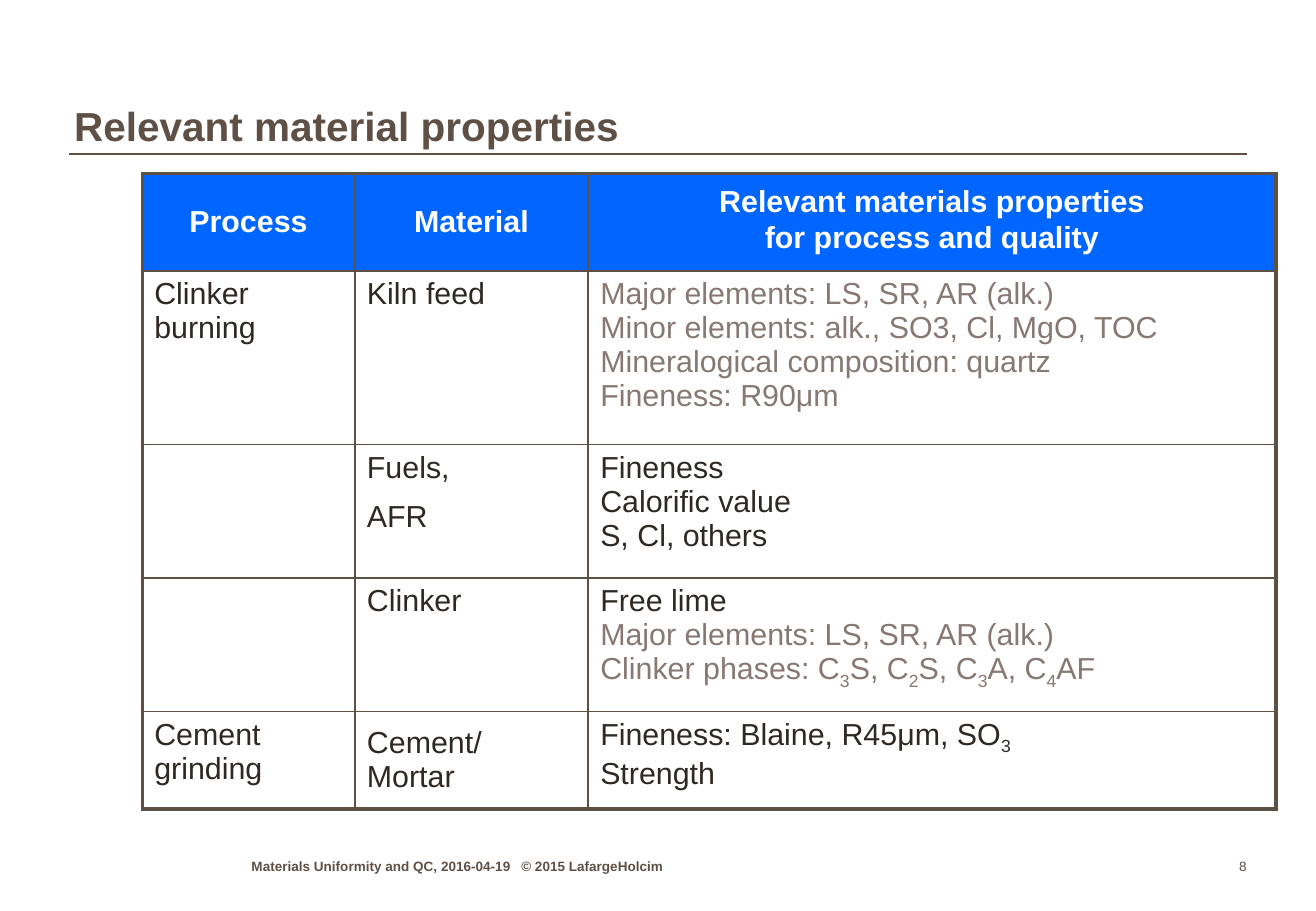
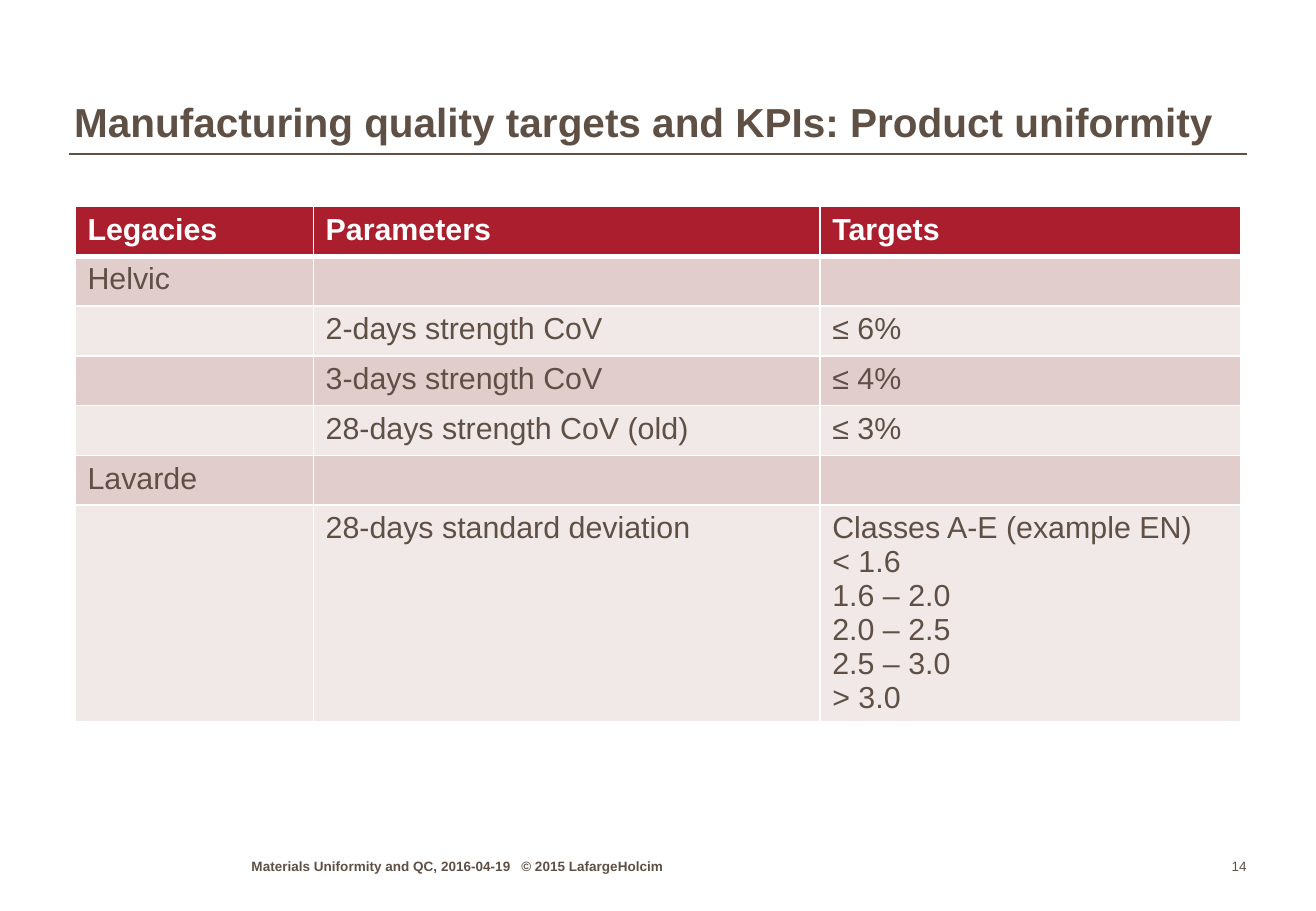
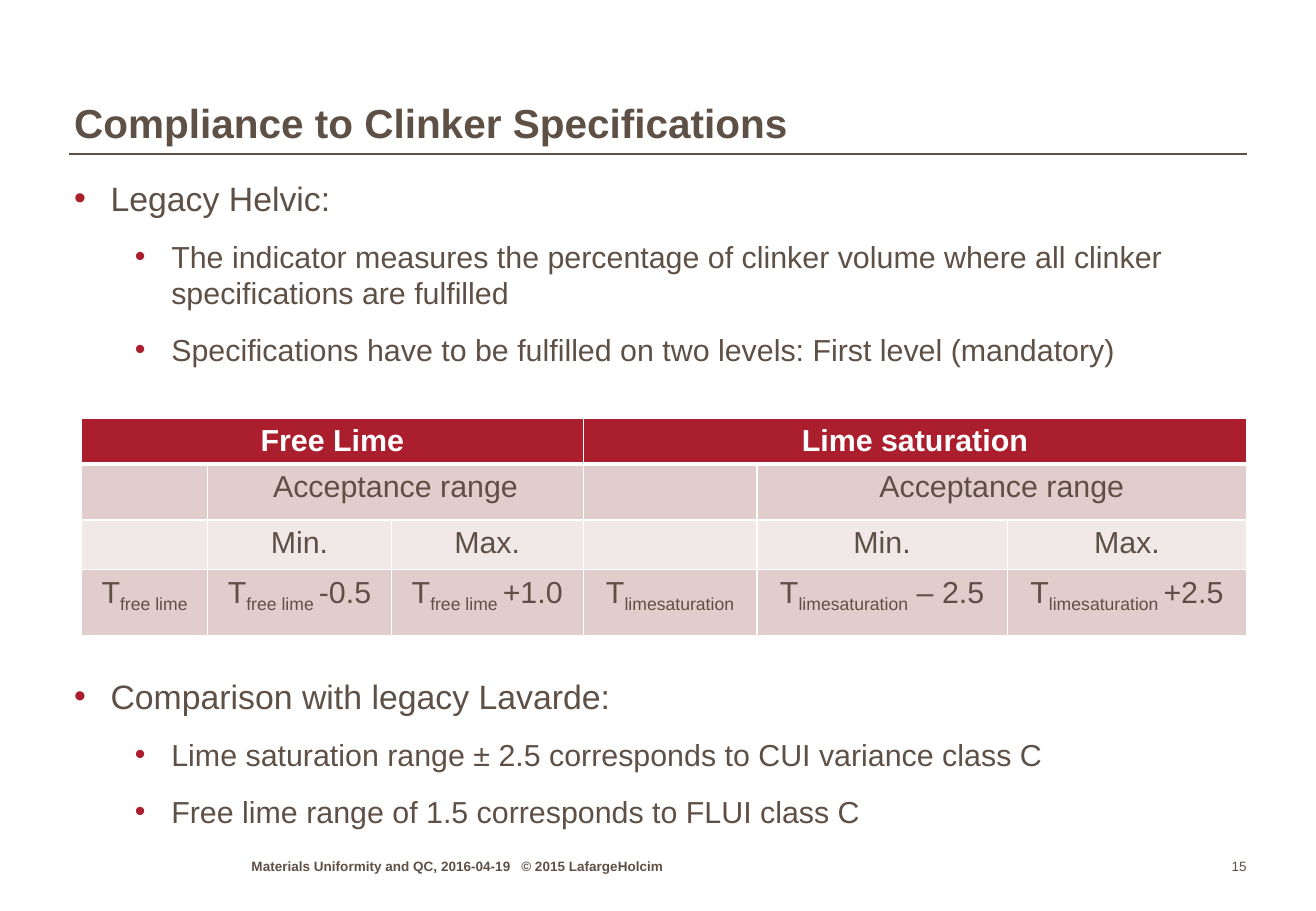
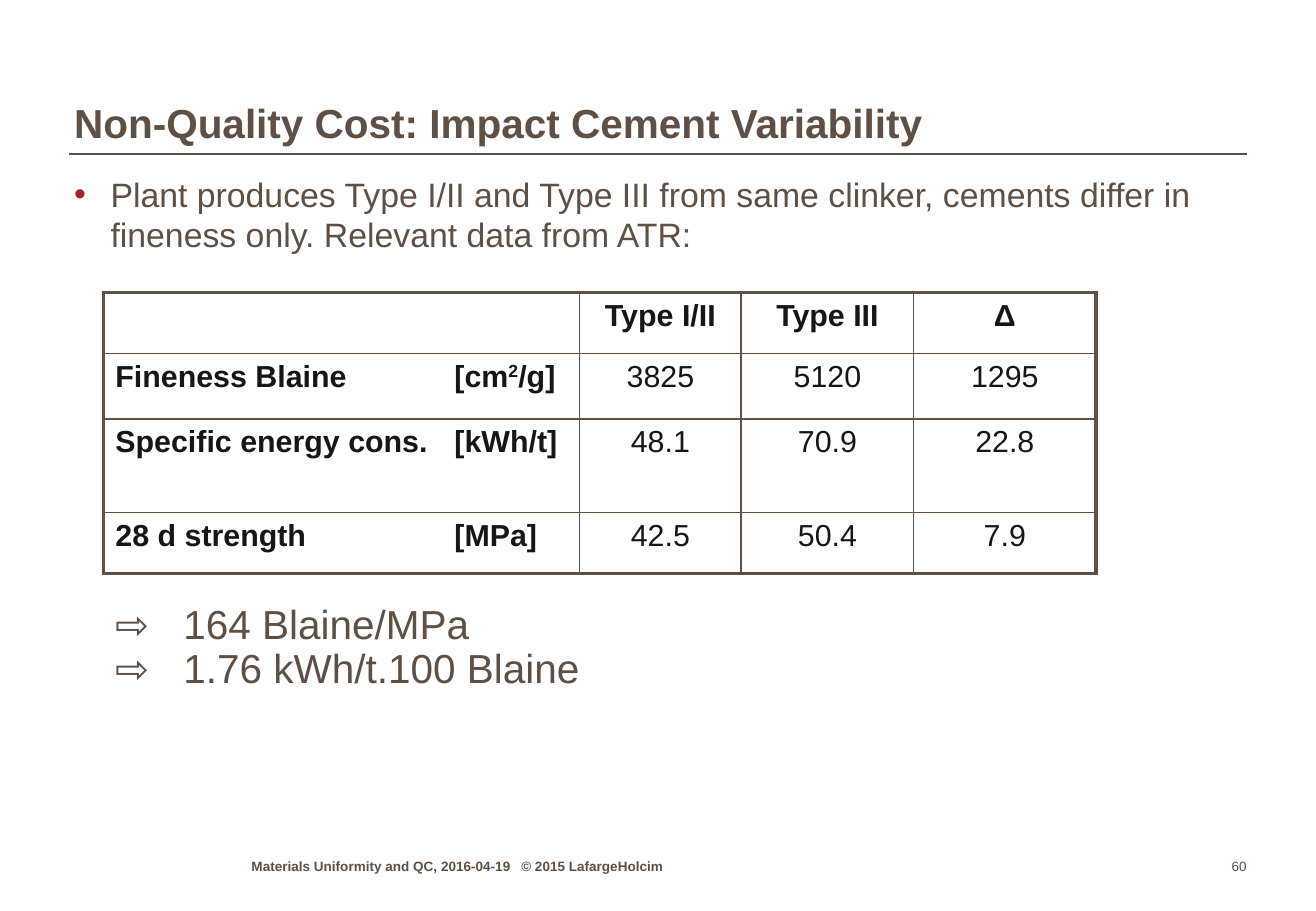
from dataclasses import dataclass, replace
from typing import Any, Optional

from lxml.etree import SubElement
from pptx import Presentation
from pptx.dml.color import RGBColor
from pptx.enum.shapes import MSO_CONNECTOR as Connector
from pptx.enum.text import MSO_ANCHOR as Anchor, MSO_AUTO_SIZE as AutoSize, PP_ALIGN as Align
from pptx.oxml.ns import qn
from pptx.util import Emu, Pt

EMU_PER_PX = 9144
FONT = "Arial"
BROWN, RED, BLUE, WHITE = "5F5046", "AA1E2D", "0066FF", "FFFFFF"
INK, GREY, BLACK = "2F2823", "877873", "161616"
BANDS = ("E2CDCD", "F1E8E8")


def px(value: int) -> Emu:
    return Emu(value * EMU_PER_PX)


def rgb(code: str) -> RGBColor:
    return RGBColor.from_string(code)


def apply(target: Any, **values: Any) -> None:
    for name, value in values.items():
        setattr(target, name, value)


@dataclass(frozen=True)
class Style:
    size: int = 18
    color: str = BROWN
    bold: bool = False
    align: Align = Align.LEFT
    before: float = 0
    after: float = 0
    spacing: float = 1.0
    indent: int = 0
    hanging: int = 0
    bullet: str = ""
    tab: int = 0
    baseline: int = -25000


@dataclass(frozen=True)
class Line:
    text: str
    style: Style


@dataclass(frozen=True)
class Box:
    left: int
    top: int
    width: int
    height: int

    def emu(self) -> tuple[Emu, ...]:
        return tuple(px(v) for v in (self.left, self.top, self.width, self.height))


@dataclass(frozen=True)
class Cell:
    lines: tuple[Line, ...] = ()
    fill: Optional[str] = None
    anchor: Anchor = Anchor.TOP


@dataclass(frozen=True)
class Frame:
    color: str
    outer: float
    header: float
    inner: float = 1


@dataclass(frozen=True)
class Grid:
    left: int
    top: int
    columns: tuple[int, ...]
    heights: tuple[int, ...]
    cells: list[list[Cell]]
    frame: Frame
    spans: tuple[tuple[int, int, int], ...] = ()


TITLE = Style(size=24, bold=True, spacing=0.95)
FOOTER = Style(size=8, bold=True, tab=222)
NUMBER = Style(size=8, align=Align.RIGHT)
POINT = Style(size=20, before=12, indent=30, hanging=30, bullet="•")
SUBPOINT = replace(POINT, size=18, indent=80)
RESULT = Style(size=24, spacing=0.9, indent=56, hanging=56)
PLAIN = Style()
HEADING = Style(color=WHITE, bold=True)
SPACED = Style(color=INK, before=3.6, after=5.4)
DETAIL = Style(color=INK)
MUTED = Style(color=GREY)
VALUE = replace(SPACED, color=BLACK, align=Align.CENTER)
LABEL = Style(color=BLACK, bold=True, tab=279, baseline=30000)

TITLE_BOX = Box(61, 36, 960, 87)
FOOTER_BOX = Box(207, 702, 347, 18)
NUMBER_BOX = Box(979, 702, 47, 18)
DARK_FRAME = Frame(BROWN, outer=2.25, header=1)
LIGHT_FRAME = Frame(WHITE, outer=1, header=3)


def lines(style: Style, *texts: str) -> tuple[Line, ...]:
    return tuple(Line(text, style) for text in texts)


def write(text_frame: Any, content: tuple[Line, ...]) -> None:
    for index, line in enumerate(content):
        style = line.style
        paragraph = text_frame.add_paragraph() if index else text_frame.paragraphs[0]
        properties = paragraph._p.get_or_add_pPr()
        if style.indent:
            properties.set("marL", str(px(style.indent)))
            properties.set("indent", str(px(-style.hanging)))
        if style.bullet:
            tint = SubElement(properties, qn("a:buClr"))
            SubElement(tint, qn("a:srgbClr"), val=RED)
            SubElement(properties, qn("a:buFont"), typeface=FONT)
            SubElement(properties, qn("a:buChar"), char=style.bullet)
        if style.tab:
            stops = SubElement(properties, qn("a:tabLst"))
            SubElement(stops, qn("a:tab"), pos=str(px(style.tab)), algn="l")
        apply(paragraph, alignment=style.align, line_spacing=style.spacing,
              space_before=Pt(style.before if index else 0), space_after=Pt(style.after))
        for position, piece in enumerate(line.text.split("~")):
            if not piece:
                continue
            run = paragraph.add_run()
            run.text = piece
            apply(run.font, name=FONT, size=Pt(style.size), bold=style.bold)
            run.font.color.rgb = rgb(style.color)
            if position % 2:
                run._r.get_or_add_rPr().set("baseline", str(style.baseline))


def setup_frame(text_frame: Any, anchor: Anchor, margins: tuple[int, int, int, int],
                wrap: bool = True) -> None:
    left, top, right, bottom = (px(m) for m in margins)
    apply(text_frame, word_wrap=wrap, auto_size=AutoSize.NONE, vertical_anchor=anchor,
          margin_left=left, margin_top=top, margin_right=right, margin_bottom=bottom)


def add_text(slide: Any, box: Box, content: tuple[Line, ...], anchor: Anchor = Anchor.TOP,
             margins: tuple[int, int, int, int] = (0, 0, 0, 0)) -> None:
    text_frame = slide.shapes.add_textbox(*box.emu()).text_frame
    setup_frame(text_frame, anchor, margins)
    write(text_frame, content)


def add_borders(cell: Any, edges: dict[str, float], color: str) -> None:
    properties = cell._tc.get_or_add_tcPr()
    for tag, width in edges.items():
        edge = SubElement(properties, qn(f"a:{tag}"), w=str(Pt(width)))
        SubElement(SubElement(edge, qn("a:solidFill")), qn("a:srgbClr"), val=color)


def add_grid(slide: Any, grid: Grid) -> None:
    row_count, column_count = len(grid.heights), len(grid.columns)
    box = Box(grid.left, grid.top, sum(grid.columns), sum(grid.heights))
    table = slide.shapes.add_table(row_count, column_count, *box.emu()).table
    apply(table, first_row=False, horz_banding=False)
    for column, width in zip(table.columns, grid.columns):
        column.width = px(width)
    for row, height in zip(table.rows, grid.heights):
        row.height = px(height)

    def rule(index: int, count: int, second: float) -> float:
        if index in (0, count):
            return grid.frame.outer
        return second if index == 1 else grid.frame.inner

    for r, row_cells in enumerate(grid.cells):
        for c, content in enumerate(row_cells):
            cell = table.cell(r, c)
            add_borders(cell, {
                "lnL": rule(c, column_count, grid.frame.inner),
                "lnR": rule(c + 1, column_count, grid.frame.inner),
                "lnT": rule(r, row_count, grid.frame.header),
                "lnB": rule(r + 1, row_count, grid.frame.header),
            }, grid.frame.color)
            if content.fill:
                cell.fill.solid()
                cell.fill.fore_color.rgb = rgb(content.fill)
            else:
                cell.fill.background()
            cell.vertical_anchor = content.anchor
            write(cell.text_frame, content.lines)
    for r, first, last in grid.spans:
        table.cell(r, first).merge(table.cell(r, last))


def banded(rows: list[list[str]], align: Align) -> list[list[Cell]]:
    result = []
    for r, texts in enumerate(rows):
        style = replace(PLAIN if r else HEADING, align=align)
        fill = BANDS[(r - 1) % 2] if r else RED
        result.append([Cell(lines(style, *text.split("\n")) if text else (), fill) for text in texts])
    return result


def add_slide(deck: Any, title: str, number: int, title_top: int = TITLE_BOX.top) -> Any:
    slide = deck.slides.add_slide(deck.slide_layouts[5])
    rule = slide.shapes.add_connector(Connector.STRAIGHT, px(57), px(127), px(1026), px(127))
    rule.line.color.rgb = rgb(BROWN)
    rule.line.width = Pt(1)
    SubElement(rule._element.spPr, qn("a:effectLst"))
    heading = slide.shapes.title
    left, top, width, height = replace(TITLE_BOX, top=title_top).emu()
    apply(heading, left=left, top=top, width=width, height=height)
    setup_frame(heading.text_frame, Anchor.BOTTOM, (0, 0, 0, 1))
    write(heading.text_frame, lines(TITLE, title))
    add_text(slide, FOOTER_BOX, lines(
        FOOTER, "Materials Uniformity and QC, 2016-04-19\t© 2015 LafargeHolcim"), Anchor.BOTTOM)
    add_text(slide, NUMBER_BOX, lines(NUMBER, str(number)), Anchor.BOTTOM)
    return slide


def build_properties(deck: Any) -> None:
    slide = add_slide(deck, "Relevant material properties", 8, 38)
    header = replace(SPACED, color=WHITE, bold=True, align=Align.CENTER)
    tight = replace(header, spacing=0.8)
    wide = (Line("Relevant materials properties", tight),
            Line("for process and quality", replace(tight, before=0, after=0)))
    headings = (lines(header, "Process"), lines(header, "Material"), wide)
    majors = "Major elements: LS, SR, AR (alk.)"
    cells = [
        [Cell(content, BLUE, Anchor.MIDDLE) for content in headings],
        [Cell(lines(SPACED, "Clinker burning")), Cell(lines(SPACED, "Kiln feed")),
         Cell(lines(MUTED, majors, "Minor elements: alk., SO3, Cl, MgO, TOC",
                    "Mineralogical composition: quartz", "Fineness: R90μm"))],
        [Cell(), Cell(lines(SPACED, "Fuels,", "AFR")),
         Cell(lines(DETAIL, "Fineness", "Calorific value", "S, Cl, others"))],
        [Cell(), Cell(lines(SPACED, "Clinker")),
         Cell(lines(DETAIL, "Free lime")
              + lines(MUTED, majors, "Clinker phases: C~3~S, C~2~S, C~3~A, C~4~AF"))],
        [Cell(lines(SPACED, "Cement grinding")),
         Cell(lines(SPACED, "Cement/ Mortar"), anchor=Anchor.MIDDLE),
         Cell(lines(DETAIL, "Fineness: Blaine, R45μm, SO~3~", "Strength"))],
    ]
    add_grid(slide, Grid(117, 143, (175, 192, 566), (80, 143, 110, 110, 80), cells, DARK_FRAME))


def build_targets(deck: Any) -> None:
    slide = add_slide(deck, "Manufacturing quality targets and KPIs: Product uniformity", 14, 35)
    rows = [
        ["Legacies", "Parameters", "Targets"],
        ["Helvic", "", ""],
        ["", "2-days strength CoV", "≤ 6%"],
        ["", "3-days strength CoV", "≤ 4%"],
        ["", "28-days strength CoV (old)", "≤ 3%"],
        ["Lavarde", "", ""],
        ["", "28-days standard deviation",
         "Classes A-E (example EN)\n< 1.6\n1.6 – 2.0\n2.0 – 2.5\n2.5 – 3.0\n> 3.0"],
    ]
    add_grid(slide, Grid(62, 170, (196, 417, 346), (41,) * 6 + (178,),
                         banded(rows, Align.LEFT), LIGHT_FRAME))


def build_compliance(deck: Any) -> None:
    slide = add_slide(deck, "Compliance to Clinker Specifications", 15)
    add_text(slide, Box(61, 146, 961, 180), lines(POINT, "Legacy Helvic:") + lines(
        SUBPOINT,
        "The indicator measures the percentage of clinker volume where all clinker "
        "specifications are fulfilled",
        "Specifications have to be fulfilled on two levels: First level (mandatory)"))
    add_text(slide, Box(61, 556, 961, 126), lines(POINT, "Comparison with legacy Lavarde:") + lines(
        SUBPOINT,
        "Lime saturation range ± 2.5 corresponds to CUI variance class C",
        "Free lime range of 1.5 corresponds to FLUI class C"))
    rows = [
        ["Free Lime", "", "", "Lime saturation", "", ""],
        ["", "Acceptance range", ""] * 2,
        ["", "Min.", "Max."] * 2,
        ["T~free lime~", "T~free lime ~-0.5", "T~free lime ~+1.0",
         "T~limesaturation~", "T~limesaturation~ – 2.5", "T~limesaturation ~+2.5"],
    ]
    add_grid(slide, Grid(67, 344, (104, 151, 158, 143, 206, 197), (37, 46, 41, 54),
                         banded(rows, Align.CENTER), LIGHT_FRAME,
                         ((0, 0, 2), (0, 3, 5), (1, 1, 2), (1, 4, 5))))


def build_cost(deck: Any) -> None:
    slide = add_slide(deck, "Non-Quality Cost: Impact Cement Variability", 60)
    add_text(slide, Box(61, 143, 961, 90), lines(
        POINT, "Plant produces Type I/II and Type III from same clinker, cements differ in "
               "fineness only. Relevant data from ATR:"))
    rows = [
        ("", "Type I/II", "Type III", "Δ"),
        ("Fineness Blaine\t[cm~2~/g]", "3825", "5120", "1295"),
        ("Specific energy cons.\t[kWh/t]", "48.1", "70.9", "22.8"),
        ("28 d strength\t[MPa]", "42.5", "50.4", "7.9"),
    ]
    cells = [[Cell(lines(LABEL, label) if label else ())]
             + [Cell(lines(replace(VALUE, bold=not r), value)) for value in values]
             for r, (label, *values) in enumerate(rows)]
    add_grid(slide, Grid(85, 241, (392, 133, 142, 150), (50, 54, 77, 50), cells, DARK_FRAME))
    add_text(slide, Box(85, 493, 452, 101),
             lines(RESULT, "⇨\t164 Blaine/MPa", "⇨\t1.76 kWh/t.100 Blaine"),
             margins=(10, 5, 10, 5))


def main() -> None:
    deck = Presentation()
    apply(deck, slide_width=px(1083), slide_height=px(750))
    for build in (build_properties, build_targets, build_compliance, build_cost):
        build(deck)
    deck.save("out.pptx")


if __name__ == "__main__":
    main()
